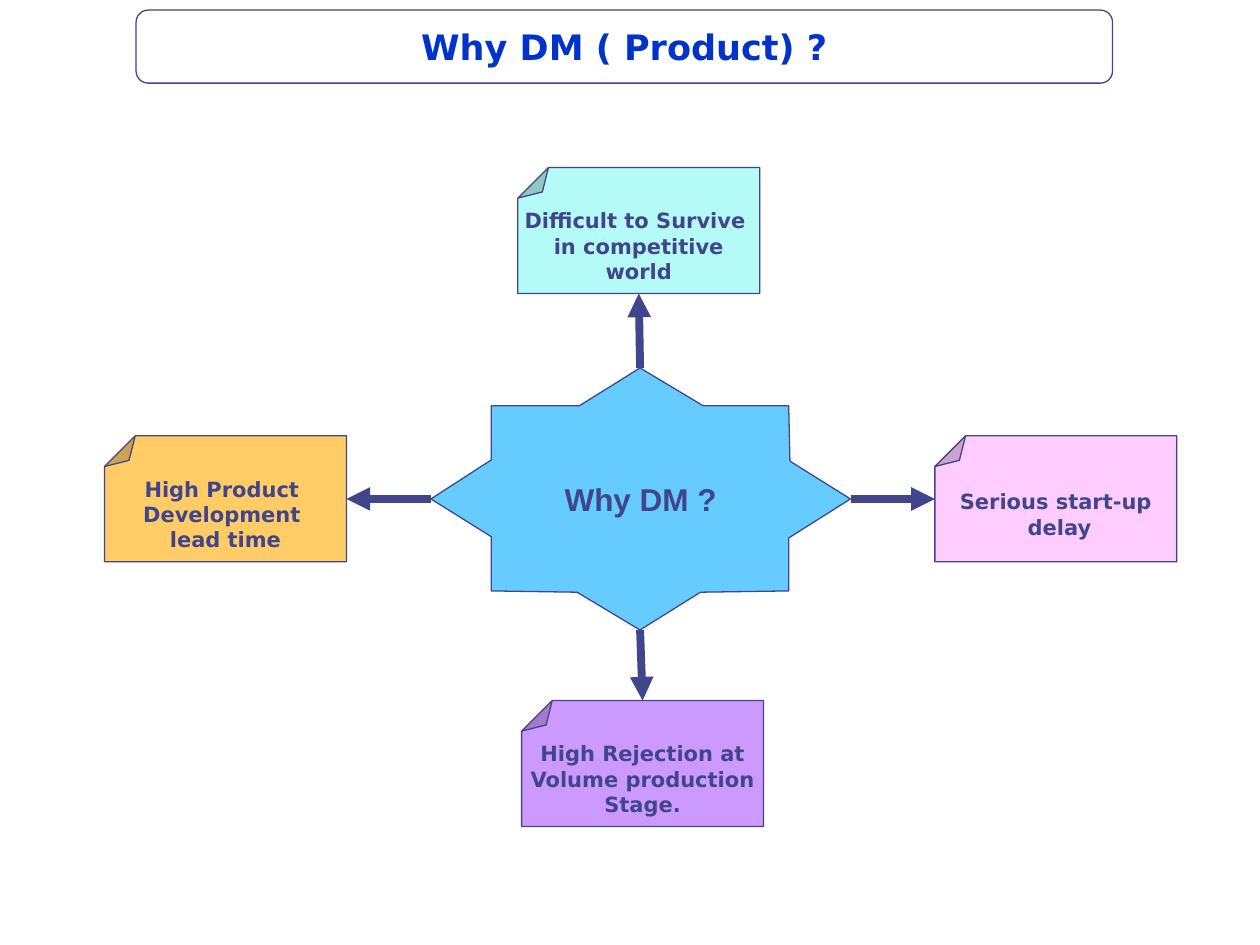
from dataclasses import dataclass

from lxml import etree
from pptx import Presentation
from pptx.dml.color import RGBColor
from pptx.enum import shapes, text
from pptx.oxml import ns
from pptx.util import Inches, Pt


@dataclass(frozen=True)
class Theme:
    ink: str = "40458C"
    title: str = "0033CC"
    star: str = "66CCFF"
    head_font: str = "DejaVu Sans"
    star_font: str = "Arial"
    title_size: float = 20
    star_size: float = 18
    note_size: float = 12
    outline: float = 0.75
    arrow: float = 4.5


@dataclass(frozen=True)
class Note:
    left: float
    top: float
    fill: str
    lines: tuple[str, ...]


@dataclass(frozen=True)
class Arrow:
    start: tuple[float, float]
    end: tuple[float, float]


THEME = Theme()
NOTE_W, NOTE_H = 1.92, 1.0
NOTES = (
    Note(4.11, 1.33, "B4FAF7", ("Difficult to Survive ", "in competitive", "world")),
    Note(7.42, 3.46, "FFCCFF", ("Serious start-up", " delay")),
    Note(0.83, 3.46, "FFCC66", ("High Product ", "Development ", "lead time")),
    Note(4.14, 5.56, "CC99FF", ("High Rejection at", "Volume production", "Stage.")),
)
ARROWS = (
    Arrow((5.08, 5.0), (5.1, 5.56)),
    Arrow((5.08, 2.92), (5.07, 2.33)),
    Arrow((6.75, 3.96), (7.42, 3.96)),
    Arrow((3.42, 3.96), (2.75, 3.96)),
)
# Star outline in hundredths of an inch
STAR = (
    (342, 396), (390, 426), (390, 469), (458, 470),
    (508, 500), (556, 470), (626, 469), (626, 427),
    (675, 396), (627, 366), (626, 322), (558, 322),
    (508, 292), (460, 322), (390, 322), (390, 365),
)


def style(sp, fill: str | None) -> None:
    sp.shadow.inherit = False
    if fill:
        sp.fill.solid()
        sp.fill.fore_color.rgb = RGBColor.from_string(fill)
    else:
        sp.fill.background()
    sp.line.color.rgb = RGBColor.from_string(THEME.ink)
    sp.line.width = Pt(THEME.outline)


def write(sp, lines: tuple[str, ...], font: str, size: float, color: str) -> None:
    tf = sp.text_frame
    tf.word_wrap = False
    tf.vertical_anchor = text.MSO_ANCHOR.MIDDLE
    for i, line in enumerate(lines):
        p = tf.add_paragraph() if i else tf.paragraphs[0]
        p.alignment = text.PP_ALIGN.CENTER
        r = p.add_run()
        r.text = line
        r.font.name = font
        r.font.size = Pt(size)
        r.font.bold = True
        r.font.color.rgb = RGBColor.from_string(color)


def add_star(s) -> None:
    builder = s.shapes.build_freeform(*STAR[0], scale=Inches(0.01))
    builder.add_line_segments(STAR[1:], close=True)
    sp = builder.convert_to_shape()
    style(sp, THEME.star)
    write(sp, ("Why DM ?",), THEME.star_font, THEME.star_size, THEME.ink)


def add_title(s) -> None:
    sp = s.shapes.add_shape(shapes.MSO_SHAPE.ROUNDED_RECTANGLE,
                            Inches(1.08), Inches(0.08), Inches(7.75), Inches(0.58))
    style(sp, None)
    write(sp, ("Why DM ( Product) ?",), THEME.head_font, THEME.title_size, THEME.title)


def add_note(s, note: Note) -> None:
    sp = s.shapes.add_shape(shapes.MSO_SHAPE.FOLDED_CORNER, Inches(note.left),
                            Inches(note.top), Inches(NOTE_W), Inches(NOTE_H))
    style(sp, note.fill)
    write(sp, note.lines, THEME.head_font, THEME.note_size, THEME.ink)
    # Fold size, set in XML as python-pptx lists no adjustment for this shape
    guides = sp._element.spPr.find(ns.qn("a:prstGeom")).get_or_add_avLst()
    for guide in list(guides):
        guides.remove(guide)
    etree.SubElement(guides, ns.qn("a:gd"), name="adj", fmla="val 24300")
    # Fold at top left; the half turn keeps the text upright
    xfrm = sp._element.spPr.find(ns.qn("a:xfrm"))
    xfrm.set("flipH", "1")
    xfrm.set("flipV", "1")
    sp.text_frame._txBody.find(ns.qn("a:bodyPr")).set("rot", "10800000")


def add_arrow(s, arrow: Arrow) -> None:
    points = [Inches(v) for v in (*arrow.start, *arrow.end)]
    cx = s.shapes.add_connector(shapes.MSO_CONNECTOR.STRAIGHT, *points)
    cx.line.color.rgb = RGBColor.from_string(THEME.ink)
    cx.line.width = Pt(THEME.arrow)
    etree.SubElement(cx.line._get_or_add_ln(), ns.qn("a:tailEnd"), type="triangle")
    etree.SubElement(cx._element.spPr, ns.qn("a:effectLst"))


def main() -> None:
    prs = Presentation()
    prs.slide_width, prs.slide_height = Inches(10), Inches(7.5)
    s = prs.slides.add_slide(prs.slide_layouts[6])

    # Centre and title
    add_star(s)
    add_title(s)

    # Reasons around the centre
    for note in NOTES:
        add_note(s, note)
    for arrow in ARROWS:
        add_arrow(s, arrow)

    prs.save("out.pptx")


if __name__ == "__main__":
    main()
